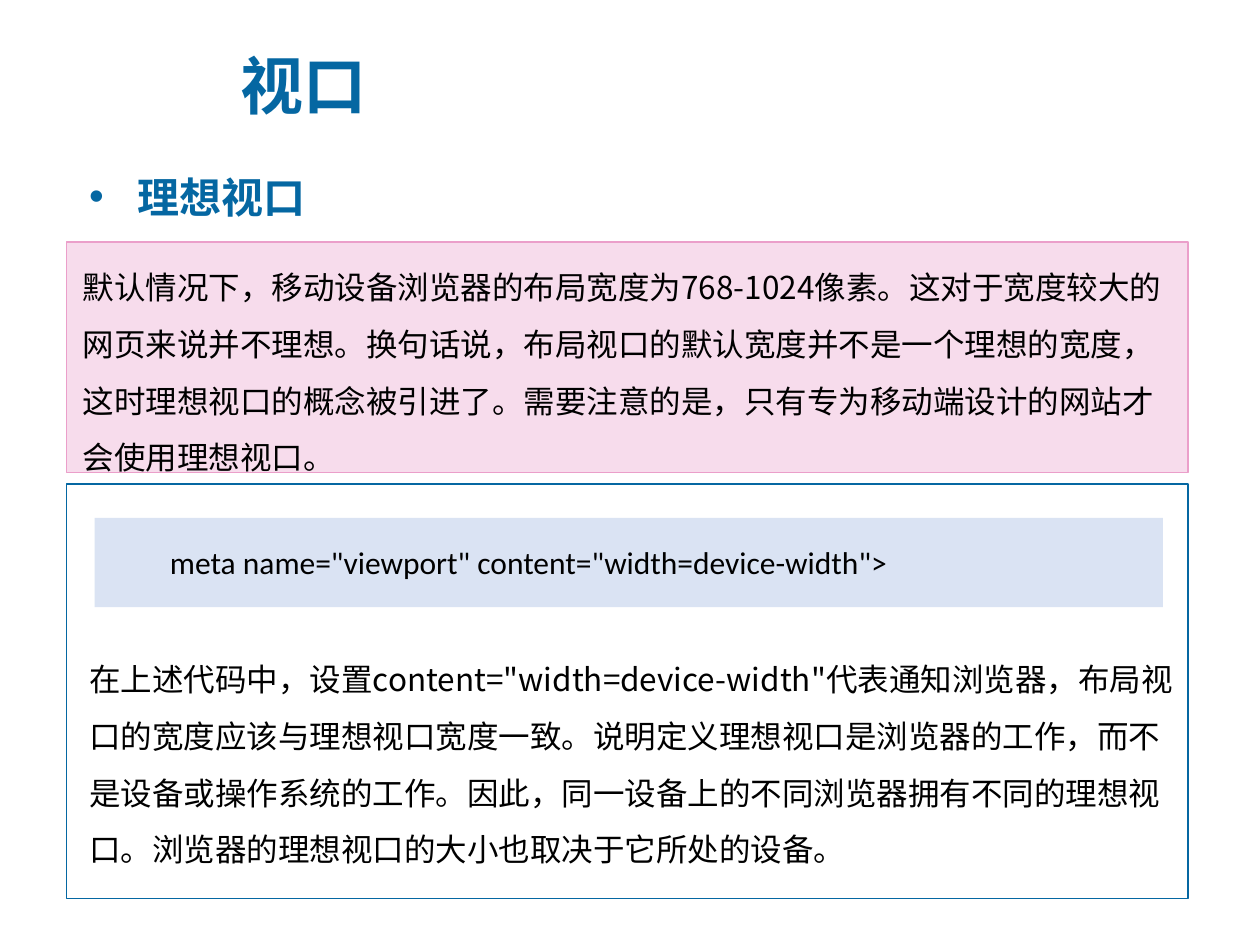
from pptx import Presentation
from pptx.dml.color import RGBColor
from pptx.enum.shapes import MSO_SHAPE
from pptx.enum.text import MSO_ANCHOR
from pptx.oxml.ns import qn
from pptx.util import Inches, Pt
from lxml.etree import SubElement

BLUE, BLACK = "0567A2", "000000"
CJK, LATIN = "Noto Sans CJK SC", "Calibri"

INTRO = ("默认情况下，移动设备浏览器的布局宽度为768-1024像素。这对于宽度较大的网页来说并不理想。"
         "换句话说，布局视口的默认宽度并不是一个理想的宽度，这时理想视口的概念被引进了。"
         "需要注意的是，只有专为移动端设计的网站才会使用理想视口。")
CODE = 'meta name="viewport" content="width=device-width">'
EXPLANATION = ('在上述代码中，设置content="width=device-width"代表通知浏览器，'
               "布局视口的宽度应该与理想视口宽度一致。说明定义理想视口是浏览器的工作，"
               "而不是设备或操作系统的工作。因此，同一设备上的不同浏览器拥有不同的理想视口。"
               "浏览器的理想视口的大小也取决于它所处的设备。")


def color(value):
    return RGBColor.from_string(value)


def add_panel(s, x, y, w, h, fill, line=None, opacity=100):
    sp = s.shapes.add_shape(MSO_SHAPE.RECTANGLE, Inches(x), Inches(y), Inches(w), Inches(h))
    sp.shadow.inherit = False
    sp.fill.solid()
    sp.fill.fore_color.rgb = color(fill)
    if opacity < 100:
        clr = sp._element.spPr.find(qn("a:solidFill"))[0]
        SubElement(clr, qn("a:alpha"), val=str(opacity * 1000))
    if line:
        sp.line.color.rgb = color(line)
        sp.line.width = Pt(0.75)
    else:
        sp.line.fill.background()
    return sp


def add_text_box(s, x, y, w, h):
    return s.shapes.add_textbox(Inches(x), Inches(y), Inches(w), Inches(h))


def write(sp, text, size=18, font=CJK, rgb=BLACK, bold=False, spacing=1.5,
          wrap=True, anchor=MSO_ANCHOR.TOP):
    tf = sp.text_frame
    tf.word_wrap = wrap
    tf.vertical_anchor = anchor
    p = tf.paragraphs[0]
    p.line_spacing = spacing
    r = p.add_run()
    r.text = text
    r.font.size = Pt(size)
    r.font.name = font
    r.font.bold = bold
    r.font.color.rgb = color(rgb)
    SubElement(r._r.get_or_add_rPr(), qn("a:ea"), typeface=CJK)
    return p


def indent(p, margin, first=0.0):
    pPr = p._p.get_or_add_pPr()
    pPr.set("algn", "l")
    pPr.set("marL", str(Inches(margin)))
    pPr.set("indent", str(Inches(first)))
    return pPr


def add_bullet(pPr):
    SubElement(pPr, qn("a:buFont"), typeface="Arial")
    SubElement(pPr, qn("a:buChar"), char="•")


def main():
    prs = Presentation()
    prs.slide_width, prs.slide_height = Inches(10), Inches(7.5)
    s = prs.slides.add_slide(prs.slide_layouts[6])

    # Background panels
    add_panel(s, 0.53, 3.84, 8.9, 3.29, "FFFFFF", BLUE, opacity=90)
    add_panel(s, 0.53, 1.92, 8.9, 1.83, "F7D9EA", "EB9FCA", opacity=90)

    # Title
    title = add_text_box(s, 1.81, 0.27, 8.18, 0.79)
    write(title, "视口", size=36, rgb=BLUE, bold=True, spacing=1.0, anchor=MSO_ANCHOR.MIDDLE)

    # Bulleted heading
    heading = add_text_box(s, 0.61, 1.11, 1.93, 0.64)
    p = write(heading, "理想视口", size=24, font=LATIN, rgb=BLUE, bold=True, wrap=False)
    p.space_before = Pt(4.8)
    add_bullet(indent(p, 0.38, -0.38))

    # Introduction
    write(add_text_box(s, 0.56, 1.93, 8.88, 1.85), INTRO)

    # Code sample and its explanation
    code = add_panel(s, 0.75, 4.11, 8.48, 0.71, "DAE3F3")
    indent(write(code, CODE, font=LATIN), 0.5)
    write(add_text_box(s, 0.61, 5.04, 8.88, 1.92), EXPLANATION)

    prs.save("out.pptx")


if __name__ == "__main__":
    main()
